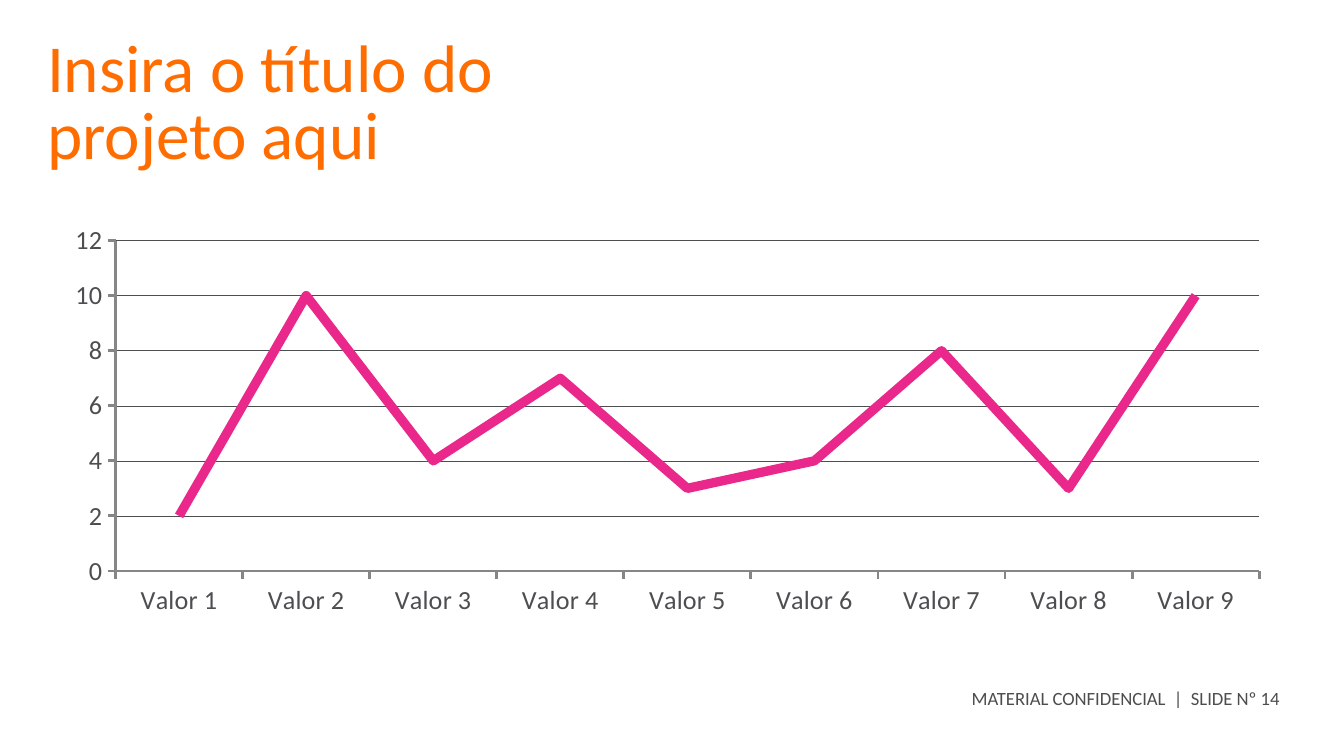
"""Build a slide with a title, a line chart of nine values and a footer."""
from lxml import etree
from pptx import Presentation
from pptx import util as u
from pptx.chart.data import CategoryChartData
from pptx.dml.color import RGBColor
from pptx.enum import chart as charts, text
from pptx.oxml.ns import qn

TITLE = "Insira o título do projeto aqui"
FOOTER = "MATERIAL CONFIDENCIAL  |  SLIDE Nº 14"
VALUES = [2, 10, 4, 7, 3, 4, 8, 3, 10]
CHART_WIDTH, CHART_HEIGHT = 9.17, 3.03
PLOT_LAYOUT = {
    "layoutTarget": "inner", "xMode": "edge", "yMode": "edge",
    "x": 0.48 / CHART_WIDTH, "y": 0.17 / CHART_HEIGHT,
    "w": 8.51 / CHART_WIDTH, "h": 2.46 / CHART_HEIGHT,
}

FONT = "Calibri"
ORANGE = RGBColor(0xFF, 0x6D, 0x00)
PINK = RGBColor(0xEA, 0x28, 0x8C)
CHART_GRAY = RGBColor(0x4D, 0x4E, 0x50)
FOOTER_GRAY = RGBColor(0x4D, 0x4D, 0x4D)
AXIS_GRAY = RGBColor(0x86, 0x86, 0x86)
BLACK = RGBColor(0x00, 0x00, 0x00)


def style_font(font, size, color):
    font.name = FONT
    font.size = u.Pt(size)
    font.color.rgb = color


def style_line(line, width, color):
    line.width = u.Pt(width)
    line.color.rgb = color


def write_text(shape, content, size, color):
    frame = shape.text_frame
    frame.margin_left = frame.margin_top = 0
    frame.margin_right = frame.margin_bottom = 0
    frame.vertical_anchor = text.MSO_ANCHOR.TOP
    frame.auto_size = text.MSO_AUTO_SIZE.NONE
    frame.word_wrap = True
    paragraph = frame.paragraphs[0]
    paragraph.alignment = text.PP_ALIGN.LEFT
    run = paragraph.add_run()
    run.text = content
    style_font(run.font, size, color)
    return paragraph


def set_plot_layout(chart):
    plot_area = chart.element.find(".//" + qn("c:plotArea"))
    for old_layout in plot_area.findall(qn("c:layout")):
        plot_area.remove(old_layout)
    layout = etree.Element(qn("c:layout"))
    manual = etree.SubElement(layout, qn("c:manualLayout"))
    for name, value in PLOT_LAYOUT.items():
        etree.SubElement(manual, qn("c:" + name)).set("val", str(value))
    plot_area.insert(0, layout)


def add_line_chart(slide):
    data = CategoryChartData()
    data.categories = [f"Valor {number}" for number in range(1, len(VALUES) + 1)]
    data.add_series("Series 1", VALUES)
    chart = slide.shapes.add_chart(
        charts.XL_CHART_TYPE.LINE, u.Inches(0.38), u.Inches(1.62),
        u.Inches(CHART_WIDTH), u.Inches(CHART_HEIGHT), data).chart
    chart.has_legend = False
    chart.has_title = False
    style_font(chart.font, 18, BLACK)
    chart.plots[0].vary_by_categories = False
    series = chart.plots[0].series[0]
    series.smooth = False
    series.marker.style = charts.XL_MARKER_STYLE.NONE
    style_line(series.format.line, 5, PINK)
    for axis in (chart.category_axis, chart.value_axis):
        axis.major_tick_mark = charts.XL_TICK_MARK.OUTSIDE
        axis.minor_tick_mark = charts.XL_TICK_MARK.NONE
        style_font(axis.tick_labels.font, 14, CHART_GRAY)
        style_line(axis.format.line, 1.5, AXIS_GRAY)
    value_axis = chart.value_axis
    value_axis.minimum_scale, value_axis.maximum_scale = 0, 12
    value_axis.major_unit = 2
    value_axis.has_major_gridlines = True
    style_line(value_axis.major_gridlines.format.line, 0.25, CHART_GRAY)
    set_plot_layout(chart)


def main():
    presentation = Presentation()
    presentation.slide_width = u.Inches(10)
    presentation.slide_height = u.Inches(10 * 9 / 16)
    slide = presentation.slides.add_slide(presentation.slide_layouts[5])

    add_line_chart(slide)

    title = slide.shapes.title
    title.left, title.top = u.Inches(0.35), u.Inches(0.29)
    title.width, title.height = u.Inches(4.16), u.Inches(1.03)
    write_text(title, TITLE, 36, ORANGE).line_spacing = u.Pt(36)

    footer = slide.shapes.add_textbox(
        u.Inches(7.23), u.Inches(5.11), u.Inches(2.33), u.Inches(0.3))
    write_text(footer, FOOTER, 10, FOOTER_GRAY)

    presentation.save("out.pptx")


if __name__ == "__main__":
    main()
